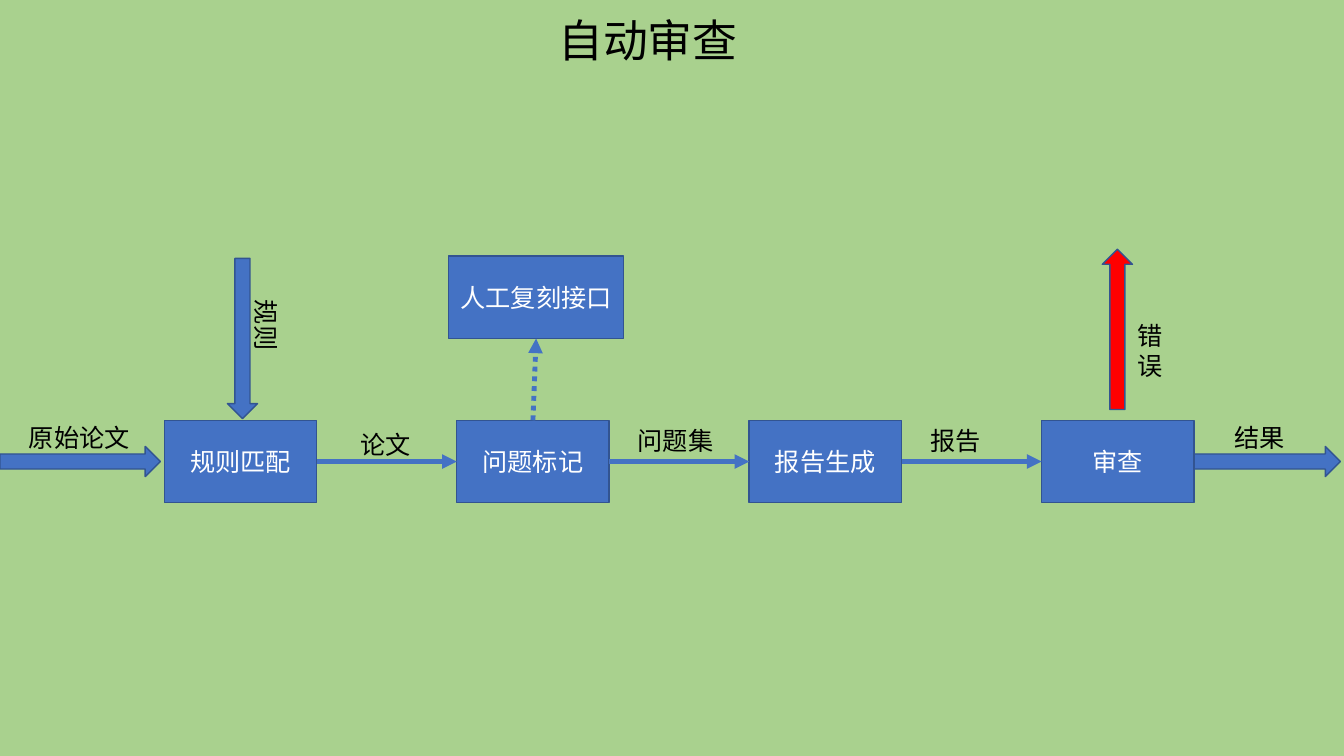
from lxml.etree import SubElement
from pptx import Presentation
from pptx.dml.color import RGBColor
from pptx.enum.dml import MSO_LINE
from pptx.enum.shapes import MSO_CONNECTOR, MSO_SHAPE
from pptx.enum.text import MSO_ANCHOR, MSO_AUTO_SIZE, PP_ALIGN
from pptx.oxml.ns import qn
from pptx.util import Cm, Pt

FONT = "Noto Sans CJK SC"
GREEN, BLUE, EDGE = "A9D18E", "4472C4", "325491"
RED, BLACK, WHITE = "FF0000", "000000", "FFFFFF"

STEP_NAMES = ["规则匹配", "问题标记", "报告生成", "审查"]
STEP_LEFT, STEP_TOP, STEP_PITCH = 4.14, 10.59, 7.37
STEP_WIDTH, BOX_HEIGHT = 3.84, 2.08
ARROW_LENGTH, ARROW_HEIGHT = 4.04, 0.76


def colour(hex_text):
    return RGBColor.from_string(hex_text)


def write(shape, text, size, hex_text):
    paragraph = shape.text_frame.paragraphs[0]
    paragraph.text = text
    paragraph.font.name = FONT
    paragraph.font.size = Pt(size)
    paragraph.font.color.rgb = colour(hex_text)
    defaults = paragraph._p.pPr.find(qn("a:defRPr"))
    SubElement(defaults, qn("a:ea")).set("typeface", FONT)
    return paragraph


def add_label(page, text, left, top, width, height=1.02, size=18, rotation=0, wrap=False):
    label = page.shapes.add_textbox(Cm(left), Cm(top), Cm(width), Cm(height))
    label.rotation = rotation
    label.text_frame.word_wrap = wrap
    label.text_frame.auto_size = MSO_AUTO_SIZE.SHAPE_TO_FIT_TEXT
    write(label, text, size, BLACK)


def add_block(page, kind, left, top, width, height, fill=BLUE):
    block = page.shapes.add_shape(kind, Cm(left), Cm(top), Cm(width), Cm(height))
    block.shadow.inherit = False
    block.fill.solid()
    block.fill.fore_color.rgb = colour(fill)
    block.line.color.rgb = colour(EDGE)
    block.line.width = Pt(1)
    return block


def add_box(page, text, left, top, width):
    box = add_block(page, MSO_SHAPE.RECTANGLE, left, top, width, BOX_HEIGHT)
    box.text_frame.vertical_anchor = MSO_ANCHOR.MIDDLE
    box.text_frame.word_wrap = True
    write(box, text, 18, WHITE).alignment = PP_ALIGN.CENTER
    return box


def add_arrow(page, left, top, rotation=0, fill=BLUE):
    arrow = add_block(page, MSO_SHAPE.RIGHT_ARROW, left, top, ARROW_LENGTH, ARROW_HEIGHT, fill)
    arrow.rotation = rotation


def join(page, start, start_side, end, end_side, dash=None):
    link = page.shapes.add_connector(MSO_CONNECTOR.STRAIGHT, 0, 0, 0, 0)
    link.begin_connect(start, start_side)
    link.end_connect(end, end_side)
    link.line.color.rgb = colour(BLUE)
    link.line.width = Pt(3.5)
    if dash:
        link.line.dash_style = dash
    SubElement(link.line._get_or_add_ln(), qn("a:tailEnd")).set("type", "triangle")
    SubElement(link._element.spPr, qn("a:effectLst"))


def main():
    deck = Presentation()
    deck.slide_width, deck.slide_height = Cm(33.87), Cm(19.05)
    page = deck.slides.add_slide(deck.slide_layouts[6])
    page.background.fill.solid()
    page.background.fill.fore_color.rgb = colour(GREEN)

    # Title
    add_label(page, "自动审查", 13.82, 0.2, 5.08, 1.63, size=32)

    # Inputs and outputs
    add_arrow(page, 0, 11.25)
    add_arrow(page, 29.74, 11.25)
    add_arrow(page, 4.09, 8.15, rotation=90)
    add_arrow(page, 26.14, 7.92, rotation=270, fill=RED)

    # Process steps and the manual interface
    steps = [add_box(page, name, STEP_LEFT + index * STEP_PITCH, STEP_TOP, STEP_WIDTH)
             for index, name in enumerate(STEP_NAMES)]
    manual = add_box(page, "人工复刻接口", 11.3, 6.45, 4.42)

    # Links
    for start, end in zip(steps, steps[1:]):
        join(page, start, 3, end, 1)
    join(page, steps[1], 0, manual, 2, MSO_LINE.ROUND_DOT)

    # Flow labels
    for text, left, top, width in [
        ("原始论文", 0.48, 10.52, 3.07),
        ("论文", 8.84, 10.69, 1.8),
        ("问题集", 15.82, 10.59, 2.44),
        ("报告", 23.19, 10.59, 1.8),
        ("结果", 30.86, 10.52, 1.8),
    ]:
        add_label(page, text, left, top, width)
    add_label(page, "规则", 5.82, 7.7, 1.8, rotation=90)
    add_label(page, "错误", 28.42, 7.95, 1.04, 1.8, wrap=True)

    deck.save("out.pptx")


if __name__ == "__main__":
    main()
